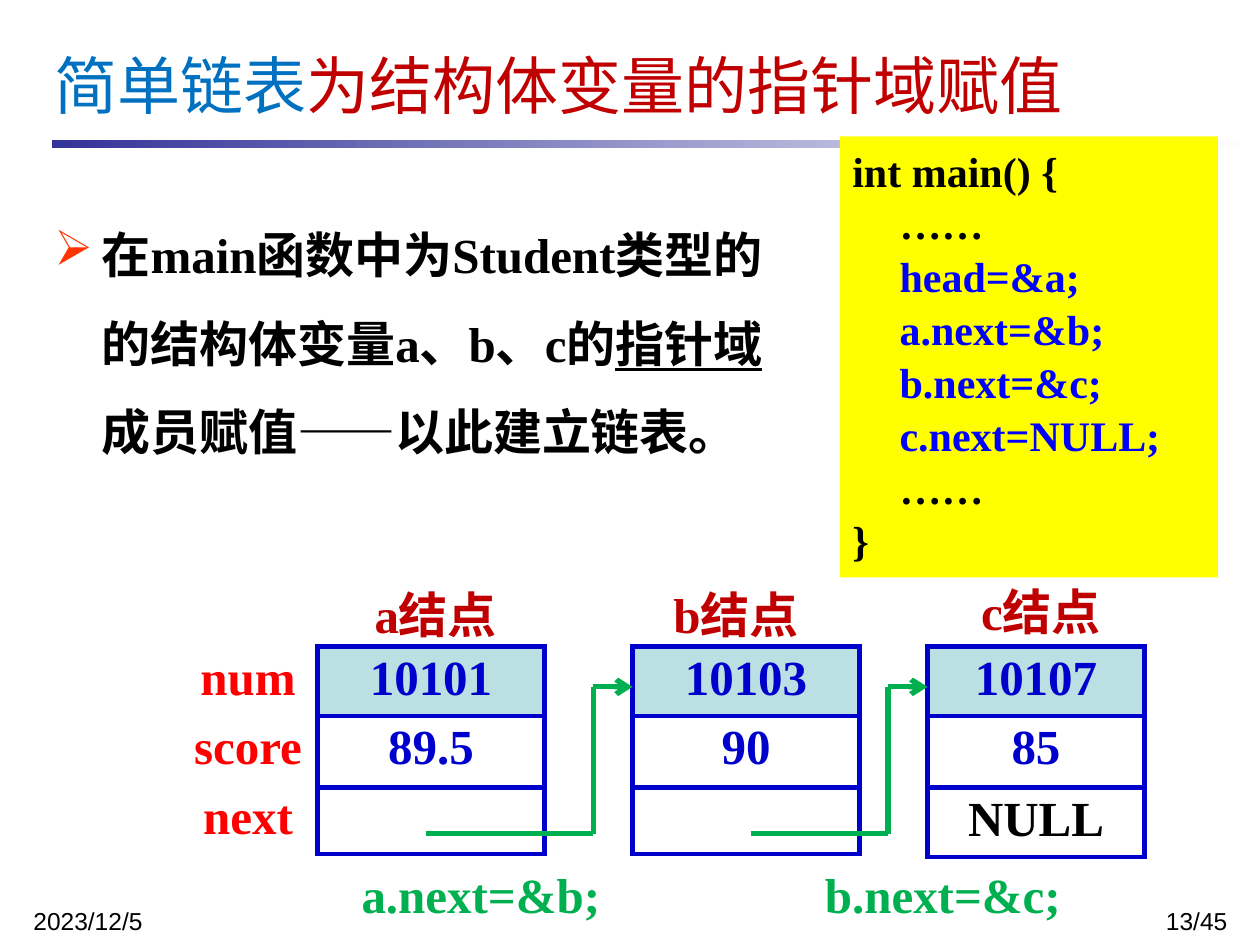
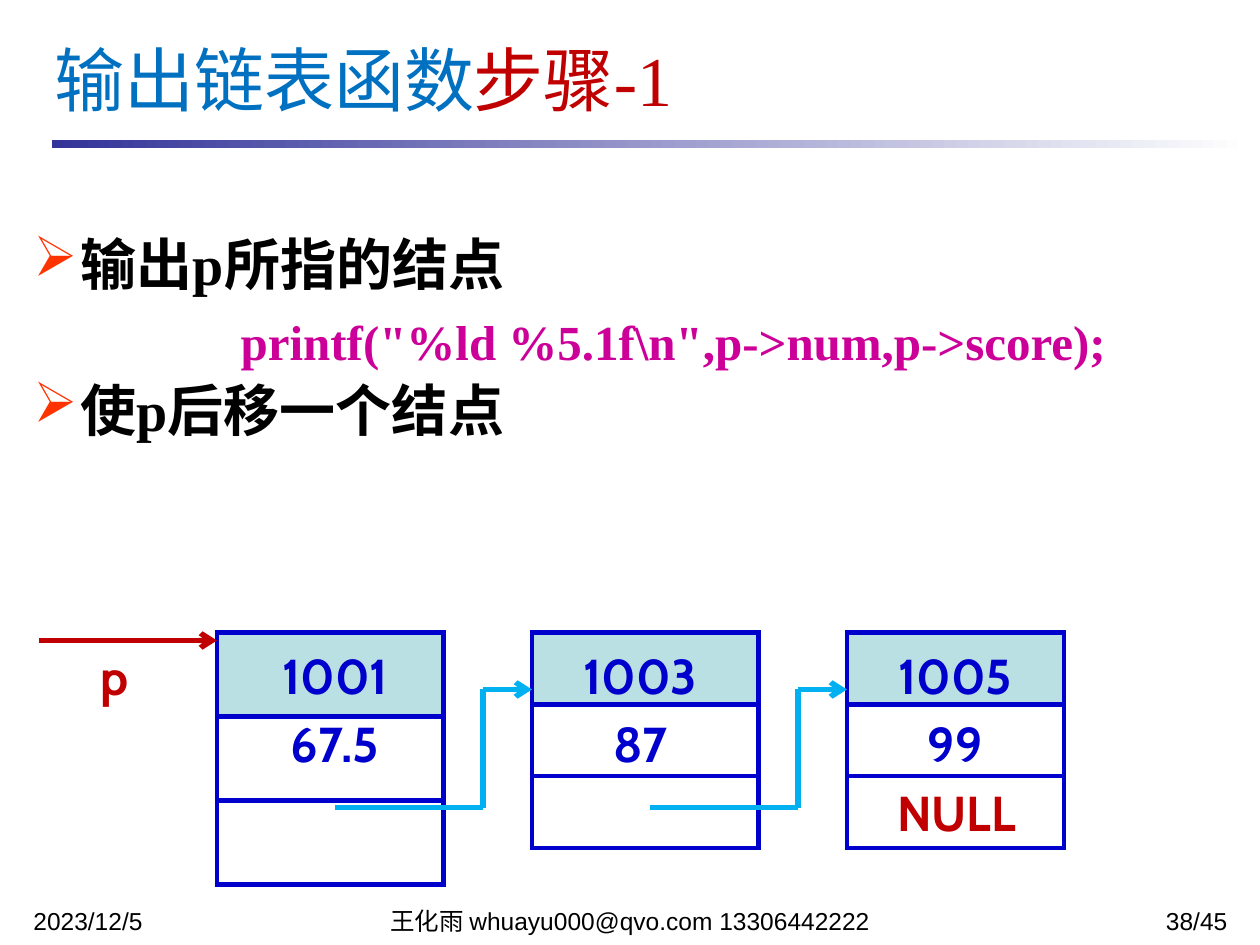
from lxml import etree
from pptx import Presentation
from pptx.dml.color import RGBColor
from pptx.enum.shapes import MSO_CONNECTOR, MSO_SHAPE
from pptx.enum.text import MSO_ANCHOR, PP_ALIGN
from pptx.oxml.ns import qn
from pptx.util import Pt

LEFT, CENTER, RIGHT = PP_ALIGN.LEFT, PP_ALIGN.CENTER, PP_ALIGN.RIGHT
TOP, MIDDLE = MSO_ANCHOR.TOP, MSO_ANCHOR.MIDDLE
RECTANGLE = MSO_SHAPE.RECTANGLE
STRAIGHT = MSO_CONNECTOR.STRAIGHT

COLORS = {
    "black": "000000", "white": "FFFFFF", "band": "333399",
    "topic": "0070C0", "crimson": "C00000", "bullet": "FF3300",
    "code_fill": "FFFF00", "code": "0000FF", "node": "0000CC",
    "node_head": "BBE0E3", "green": "00B050", "sky": "00B0F0",
    "field": "FF0000", "printf": "CC0099",
}
SERIF, SANS, ROUND = "Times New Roman", "Arial", "Cabin"
INDENT = 27
LABEL_HEIGHT = 41


def rgb(name):
    return RGBColor.from_string(COLORS[name])


class Deck:
    def __init__(self):
        self.prs = Presentation()
        self.prs.slide_width, self.prs.slide_height = Pt(720), Pt(540)
        self.slide = None

    def new_slide(self, number, title_parts, title_size, title_box, author=None):
        """Start a slide with its band, footers and title."""
        self.slide = self.prs.slides.add_slide(self.prs.slide_layouts[6])
        self.band()
        self.footer("2023/12/5", 12, 168, LEFT)
        if author:
            self.footer(author, 186, 348, CENTER)
        self.footer(f"{number}/45", 570, 138.5, RIGHT)
        frame = self.frame(*title_box, anchor=MIDDLE)
        for text, color in zip(title_parts, ("topic", "crimson")):
            self.run(frame.paragraphs[0], text, title_size, color, bold=False)

    def band(self):
        band = self.rectangle(29.5, 80, 684.5, 4.5)
        band.fill.gradient()
        band.fill.gradient_angle = 0
        for stop, color, position in zip(band.fill.gradient_stops, ("band", "white"), (0, 1)):
            stop.color.rgb = rgb(color)
            stop.position = position

    def rectangle(self, x, y, width, height):
        shape = self.slide.shapes.add_shape(RECTANGLE, Pt(x), Pt(y), Pt(width), Pt(height))
        shape.shadow.inherit = False
        shape.line.fill.background()
        return shape

    def frame(self, x, y, width, height, anchor=TOP):
        box = self.slide.shapes.add_textbox(Pt(x), Pt(y), Pt(width), Pt(height))
        box.text_frame.word_wrap = True
        box.text_frame.vertical_anchor = anchor
        return box.text_frame

    def run(self, paragraph, text, size=28, color="black", font=SERIF, bold=True, underline=None):
        run = paragraph.add_run()
        run.text = text
        run.font.size, run.font.name = Pt(size), font
        run.font.bold, run.font.underline = bold, underline
        run.font.color.rgb = rgb(color)

    def paragraph(self, frame, first, align=LEFT, spacing=None):
        paragraph = frame.paragraphs[0] if first else frame.add_paragraph()
        paragraph.alignment = align
        if spacing:
            paragraph.line_spacing = spacing
        return paragraph

    def footer(self, text, x, width, align):
        line = self.paragraph(self.frame(x, 516, width, 13), True, align, 0.9)
        self.run(line, text, 14, font=SANS, bold=False)

    def label(self, text, x, y, width, color, font=SERIF, align=CENTER, spacing=None):
        """Write a bold 28 pt label, one paragraph for each line of text."""
        lines = text.split("\n")
        frame = self.frame(x, y, width, LABEL_HEIGHT * len(lines))
        for i, line in enumerate(lines):
            self.run(self.paragraph(frame, i == 0, align, spacing), line, color=color, font=font)

    def bullet(self, frame, parts, size, spacing, first=True, space_before=0):
        """Add a bulleted paragraph from (text, underline) parts."""
        item = self.paragraph(frame, first, spacing=Pt(spacing))
        if not first:
            item.space_before = Pt(space_before)
        props = item._p.get_or_add_pPr()
        props.set("marL", str(Pt(INDENT)))
        props.set("indent", str(-Pt(INDENT)))
        tint = etree.SubElement(props, qn("a:buClr"))
        etree.SubElement(tint, qn("a:srgbClr"), val=COLORS["bullet"])
        etree.SubElement(props, qn("a:buChar"), char="➢")
        for text, underline in parts:
            self.run(item, text, size, underline=underline)

    def code(self, lines, x, y, width, height):
        """Show (text, color, indented) lines on a filled panel."""
        panel = self.rectangle(x, y, width, height)
        panel.fill.solid()
        panel.fill.fore_color.rgb = rgb("code_fill")
        frame = panel.text_frame
        frame.vertical_anchor = TOP
        for i, (text, color, indented) in enumerate(lines):
            line = self.paragraph(frame, i == 0, spacing=Pt(30.2))
            if indented:
                line._p.get_or_add_pPr().set("marL", str(Pt(INDENT)))
            self.run(line, text, 24, color)

    def node(self, x, y, width, heights, values=("", "", "")):
        """Draw a list node as a table with one column."""
        table = self.slide.shapes.add_table(
            len(heights), 1, Pt(x), Pt(y), Pt(width), Pt(sum(heights))).table
        table.first_row = table.horz_banding = False
        for i, (height, value) in enumerate(zip(heights, values)):
            table.rows[i].height = Pt(height)
            cell = table.cell(i, 0)
            cell.margin_top = cell.margin_bottom = Pt(3)
            cell.fill.solid()
            cell.fill.fore_color.rgb = rgb("white" if i else "node_head")
            self.border(cell)
            if value:
                line = self.paragraph(cell.text_frame, True, CENTER)
                self.run(line, value, color="black" if value == "NULL" else "node")

    def border(self, cell):
        props = cell._tc.get_or_add_tcPr()
        for i, side in enumerate(("lnL", "lnR", "lnT", "lnB")):
            edge = etree.Element(qn(f"a:{side}"), w=str(Pt(3)))
            fill = etree.SubElement(edge, qn("a:solidFill"))
            etree.SubElement(fill, qn("a:srgbClr"), val=COLORS["node"])
            props.insert(i, edge)

    def line(self, start, end, color, arrow=False):
        line = self.slide.shapes.add_connector(STRAIGHT, *map(Pt, start + end))
        line.line.color.rgb = rgb(color)
        line.line.width = Pt(3)
        if arrow:
            etree.SubElement(line.line._get_or_add_ln(), qn("a:tailEnd"), type="arrow")
        etree.SubElement(line._element.spPr, qn("a:effectLst"))

    def pointer(self, start, bend_x, end, color):
        """Lead from a next field to the following node with two bends."""
        corners = [start, (bend_x, start[1]), (bend_x, end[1]), end]
        for i in range(3):
            self.line(corners[i], corners[i + 1], color, arrow=i == 2)


def assign_pointers_slide(deck):
    deck.new_slide(13, ("简单链表", "为结构体变量的指针域赋值"), 36, (24, 18, 672, 60))
    deck.bullet(deck.frame(24, 108, 444, 198), [
        ("在main函数中为Student类型的的结构体变量a、b、c的", None),
        ("指针域", True),
        ("成员赋值——以此建立链表。", None)], 28, 50.5)
    deck.code([
        ("int main() {", "black", False),
        ("……", "black", True),
        ("head=&a;", "code", True),
        ("a.next=&b;", "code", True),
        ("b.next=&c;", "code", True),
        ("c.next=NULL;", "code", True),
        ("……", "black", True),
        ("}", "black", False)], 480, 78, 216, 252)

    node_top, pointer_y, next_y = 369.5, 392.5, 476.5
    deck.node(181.5, node_top, 129.6, (39.6, 41, 38), ("10101", "89.5", ""))
    deck.node(361.5, node_top, 129.6, (38, 41, 38), ("10103", "90", ""))
    deck.node(530, node_top, 124, (38, 41, 38), ("10107", "85", "NULL"))
    for name, x, y, width in (("a", 187, 330.5, 124), ("b", 361.5, 330.5, 118),
                              ("c", 541.5, 328.5, 106.5)):
        deck.label(f"{name}结点", x, y, width, "crimson")
    for start_x, node_x in ((243.5, 361.5), (429, 530)):
        deck.pointer((start_x, next_y), node_x - 22.5, (node_x, pointer_y), "green")
    for statement, x in (("a.next=&b;", 165), ("b.next=&c;", 429)):
        deck.label(statement, x, 490.5, 219.5, "green")
    for i, field in enumerate(("num", "score", "next")):
        deck.label(field, 102, 366 + 39.6 * i, 79.5, "field")


def print_list_slide(deck):
    deck.new_slide(38, ("输出链表函数", "步骤-1"), 40, (24, 12, 672, 66),
                   "王化雨 whuayu000@qvo.com 13306442222")
    steps = deck.frame(12, 128, 624, 208)
    deck.bullet(steps, [("输出p所指的结点", None)], 32, 38)
    deck.bullet(steps, [("使p后移一个结点", None)], 32, 38, first=False, space_before=45.5)
    deck.label('printf("%ld %5.1f\\n",p->num,p->score);', 130.5, 174.5, 523.5, "printf", align=LEFT)

    first_x, pitch, node_top = 124, 180, 361.5
    nodes = (("1001\n67.5", 129.6, 48, 5.5), ("1003\n87", 129.6, 41, 0), ("1005\n99", 124, 41, 0))
    for i, (values, width, row_height, shift) in enumerate(nodes):
        x = first_x + pitch * i
        deck.node(x, node_top, width, [row_height] * 3)
        deck.label(values, x + shift, 360, 124, "node", ROUND, spacing=Pt(39))
        if i:
            deck.pointer((x - 112.5, 461.5), x - 28, (x, 394), "sky")
    deck.label("NULL", 487.5, 443.5, 118, "crimson", ROUND)
    deck.label("p", 50.5, 366, 44.5, "crimson", ROUND, LEFT)
    deck.line((22.5, 366), (first_x, 366), "crimson", arrow=True)


def main():
    deck = Deck()
    assign_pointers_slide(deck)
    print_list_slide(deck)
    deck.prs.save("out.pptx")


if __name__ == "__main__":
    main()
